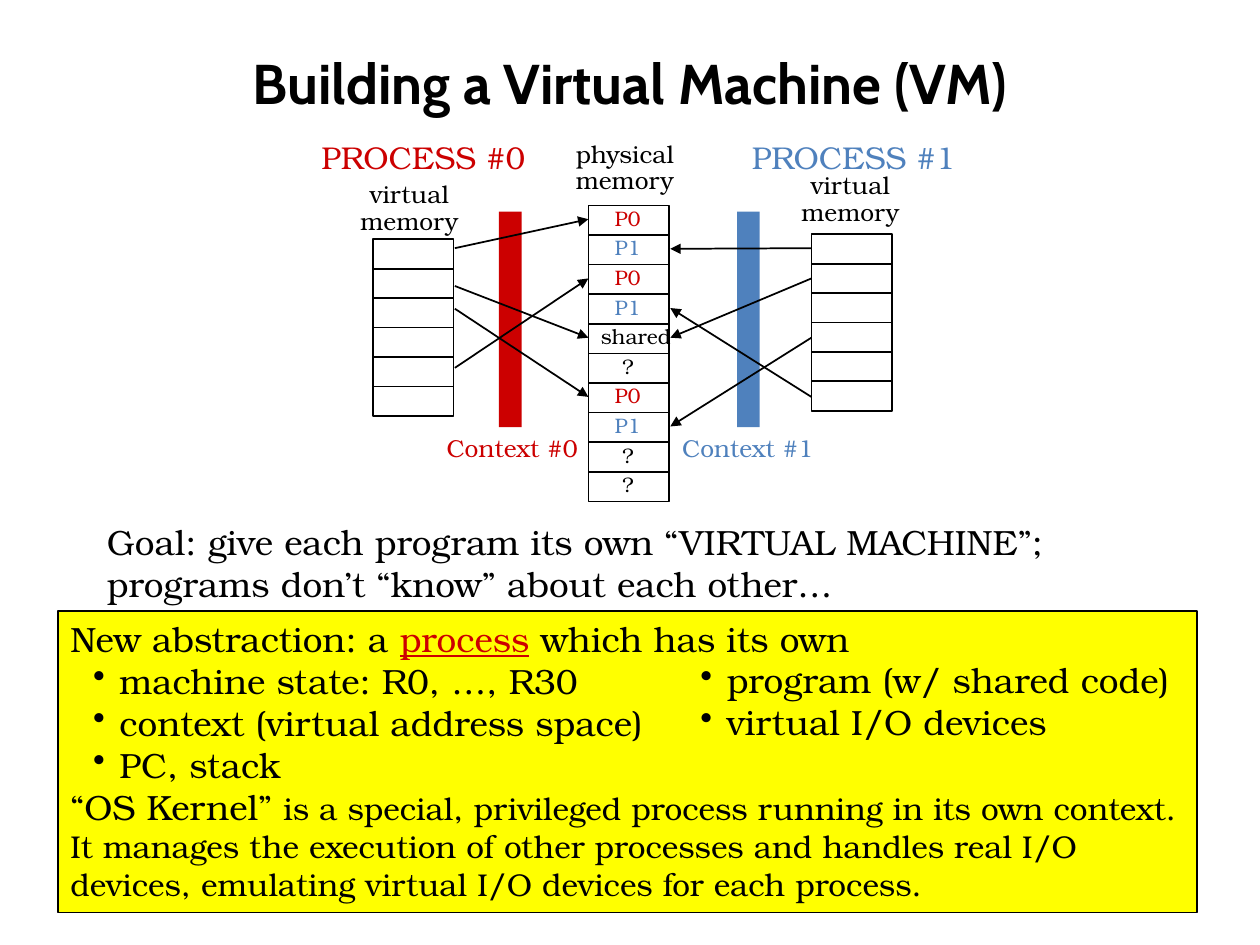
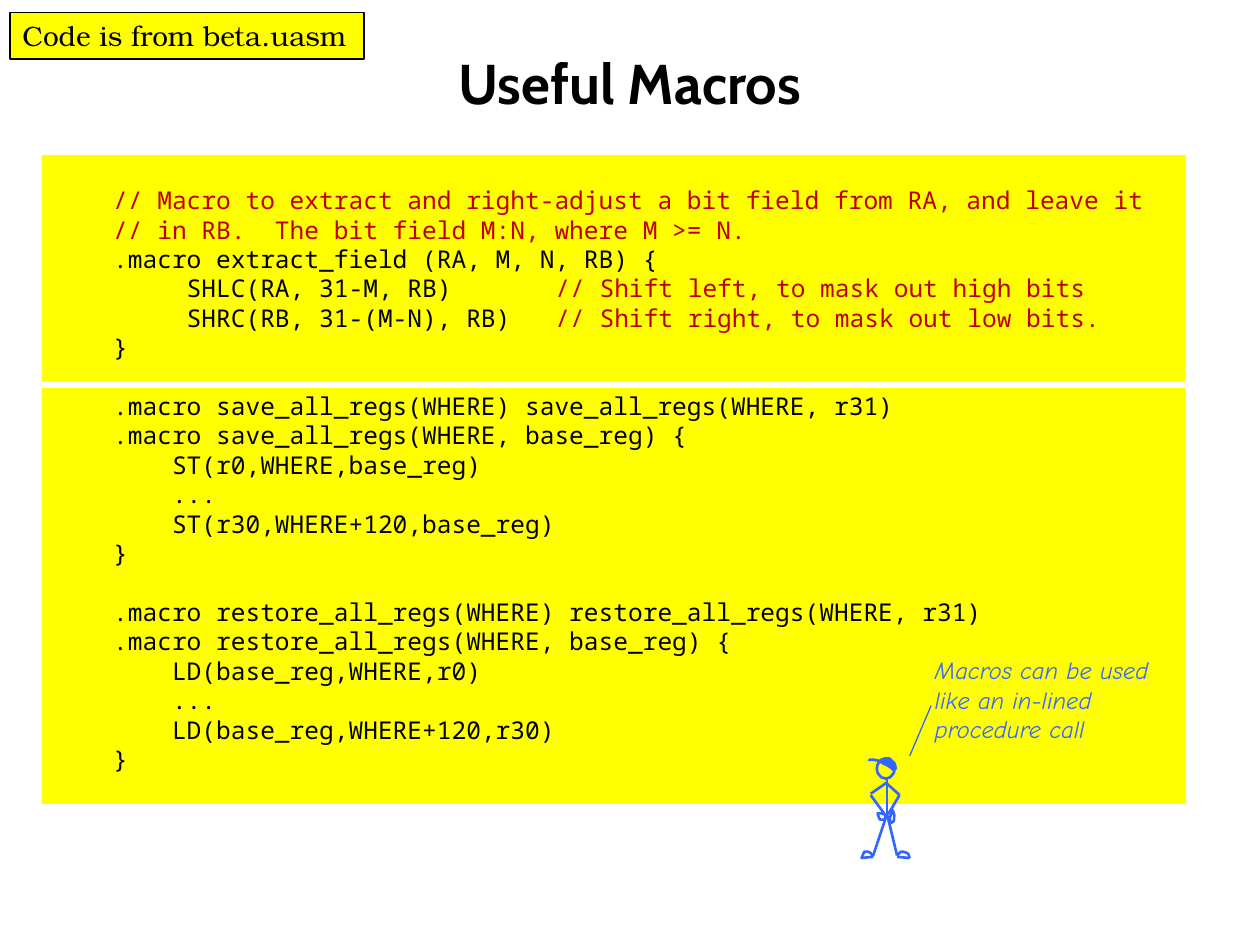
"""Builds two slides on virtual machines and register macros."""
from dataclasses import dataclass
from typing import NamedTuple

from pptx import Presentation
from pptx.dml.color import RGBColor as RGB
from pptx.enum.shapes import MSO_CONNECTOR as LINK, MSO_SHAPE as SHAPE
from pptx.enum.text import MSO_ANCHOR as ANCHOR, PP_ALIGN as ALIGN
from pptx.oxml.ns import qn
from pptx.util import Inches, Pt

HUES = {"black": "000000", "white": "FFFFFF", "red": "CC0000", "blue": "4F81BD",
        "yellow": "FFFF00", "note": "C00000", "pen": "3366FF"}
SERIF, MONO = "TeX Gyre Bonum", "Noto Sans Mono"
ROW = 0.235


class Box(NamedTuple):
    left: float
    top: float
    width: float
    height: float


class Bit(NamedTuple):
    text: str
    size: float = 20
    hue: str = "black"
    under: bool = False


@dataclass
class Style:
    font: str = SERIF
    align: ALIGN = ALIGN.LEFT
    space: float = 1.0
    wrap: bool = True
    bold: bool = False
    slant: bool = False
    anchor: ALIGN = ANCHOR.TOP


@dataclass
class Side:
    name: str
    hue: str
    head: Box
    label: Box
    stack: Box
    band: float
    context: float
    start: float
    end: float
    maps: list


PLAIN = Style()
LOOSE = Style(wrap=False)
LABEL = Style(align=ALIGN.CENTER, space=0.9, wrap=False)
HEAD = Style(align=ALIGN.CENTER, space=0.9)
MID = Style(align=ALIGN.CENTER, wrap=False)
TITLE = Style(font="Cabin", align=ALIGN.CENTER, bold=True, anchor=ANCHOR.MIDDLE)
CODE = Style(font=MONO, wrap=False)
SPEECH = Style(font="Comic Neue", slant=True)

SIDES = [
    Side("#0", "red", Box(2.42, 1.08, 1.88, 0.38), Box(2.75, 1.4, 1, 0.53),
         Box(2.96, 1.9, 0.64, 1.4), 3.96, 3.44, 3.61, 4.67,
         [(1.97, 0), (2.27, 4), (2.45, 6), (2.92, 2)]),
    Side("#1", "blue", Box(5.72, 1.08, 2.11, 0.38), Box(6.25, 1.33, 1, 0.53),
         Box(6.44, 1.86, 0.64, 1.4), 5.85, 5.31, 6.44, 5.32,
         [(1.97, 1), (2.21, 4), (2.68, 7), (3.15, 3)]),
]
PAGES = ["P0", "P1", "P0", "P1", "shared", "?", "P0", "P1", "?", "?"]
SPOTS = {"P": (4.78, 0.42), "s": (4.67, 0.78), "?": (4.84, 0.29)}

MACROS = [
    """// Macro to extract and right-adjust a bit field from RA, and leave it
// in RB.  The bit field M:N, where M >= N.
.macro extract_field (RA, M, N, RB) {
     SHLC(RA, 31-M, RB)       // Shift left, to mask out high bits
     SHRC(RB, 31-(M-N), RB)   // Shift right, to mask out low bits.
}""",
    """.macro save_all_regs(WHERE) save_all_regs(WHERE, r31)
.macro save_all_regs(WHERE, base_reg) {
    ST(r0,WHERE,base_reg)
    ...
    ST(r30,WHERE+120,base_reg)
}""",
    """.macro restore_all_regs(WHERE) restore_all_regs(WHERE, r31)
.macro restore_all_regs(WHERE, base_reg) {
    LD(base_reg,WHERE,r0)
    ...
    LD(base_reg,WHERE+120,r30)
}""",
]

LIMBS = [
    (7.04, 6.18, 7.04, 6.46), (7.04, 6.46, 6.93, 6.79), (7.04, 6.46, 7.12, 6.79),
    (6.93, 6.8, 6.83, 6.81), (7.12, 6.8, 7.22, 6.81), (7.04, 6.21, 6.91, 6.3),
    (6.91, 6.31, 7.02, 6.46), (7.04, 6.22, 7.14, 6.31), (7.14, 6.31, 7.05, 6.46),
]
FEET = [
    [(6.84, 6.81), (6.85, 6.78), (6.86, 6.76), (6.89, 6.76), (6.91, 6.77), (6.93, 6.8)],
    [(7.22, 6.81), (7.21, 6.78), (7.2, 6.77), (7.17, 6.76), (7.15, 6.76), (7.12, 6.79)],
]
HANDS = [
    ([(7.02, 6.45), (6.99, 6.46), (6.97, 6.47), (6.97, 6.5), (6.98, 6.51),
      (7.01, 6.51), (7.02, 6.48)], 270),
    ([(7.04, 6.45), (7.08, 6.46), (7.11, 6.48), (7.12, 6.49), (7.12, 6.51),
      (7.09, 6.51), (7.07, 6.49)], 59.3),
]
BRIM = [(7.1, 6.12), (7.06, 6.08), (7.01, 6.06), (6.98, 6.04), (6.94, 6.03),
        (6.9, 6.03), (6.9, 6.04)]
CAP = [(7.11, 6.1), (7.1, 6.06), (7.08, 6.04), (7.06, 6.02), (7.02, 6.02),
       (7, 6.03), (6.99, 6.04), (7.04, 6.07), (7.08, 6.1)]


def tint(hue: str) -> RGB:
    return RGB.from_string(HUES[hue])


def paint(shape, fill: str = "", line: str = "", width: float = 1) -> None:
    shape.shadow.inherit = False
    if fill:
        shape.fill.solid()
        shape.fill.fore_color.rgb = tint(fill)
    else:
        shape.fill.background()
    if line:
        shape.line.color.rgb = tint(line)
        shape.line.width = Pt(width)
    else:
        shape.line.fill.background()


def block(slide, box: Box, fill: str = "", line: str = "", width: float = 1,
          kind: SHAPE = SHAPE.RECTANGLE):
    shape = slide.shapes.add_shape(kind, *map(Inches, box))
    paint(shape, fill, line, width)
    return shape


def write(shape, paras: list, style: Style = PLAIN) -> list:
    frame = shape.text_frame
    frame.word_wrap = style.wrap
    frame.vertical_anchor = style.anchor
    frame.text = "\n".join(bits[0].text for bits in paras)
    for para, bits in zip(frame.paragraphs, paras):
        para.alignment = style.align
        para.line_spacing = style.space
        for bit in bits[1:]:
            para.add_run().text = bit.text
        for run, bit in zip(para.runs, bits):
            font = run.font
            font.name, font.size = style.font, Pt(bit.size)
            font.bold, font.italic = style.bold, style.slant
            font.underline = bit.under
            font.color.rgb = tint(bit.hue)
    return list(frame.paragraphs)


def label(slide, box: Box, text: str, size: float, hue: str = "black",
          style: Style = PLAIN) -> None:
    shape = slide.shapes.add_textbox(*map(Inches, box))
    write(shape, [[Bit(line, size, hue)] for line in text.split("\n")], style)


def bullet(para, left: float) -> None:
    props = para._p.get_or_add_pPr()
    props.set("marL", str(Inches(left)))
    props.set("indent", str(Inches(-0.21)))
    props.append(props.makeelement(qn("a:buChar"), {"char": "•"}))


def rule(slide, ends: tuple, hue: str = "black", width: float = 1,
         arrow: bool = False) -> None:
    line = slide.shapes.add_connector(LINK.STRAIGHT, *map(Inches, ends))
    line.line.color.rgb = tint(hue)
    line.line.width = Pt(width)
    props = line._element.spPr
    if arrow:
        edge = line.line._get_or_add_ln()
        edge.append(edge.makeelement(qn("a:tailEnd"), {"type": "triangle"}))
    props.append(props.makeelement(qn("a:effectLst"), {}))


def stroke(slide, dots: list, closed: bool = False, fill: str = "", turn: float = 0) -> None:
    first, *rest = [(Inches(x), Inches(y)) for x, y in dots]
    build = slide.shapes.build_freeform(*first)
    build.add_line_segments(rest, close=closed)
    shape = build.convert_to_shape()
    paint(shape, fill, "pen", 1.5)
    shape.rotation = turn


def stack(slide, box: Box, count: int) -> None:
    block(slide, box, "white", "black")
    for i in range(1, count):
        y = box.top + box.height * i / count
        rule(slide, (box.left, y, box.left + box.width, y))


def start(deck, title: str):
    slide = deck.slides.add_slide(deck.slide_layouts[6])
    label(slide, Box(0.5, 0.3, 9, 0.7), title, 32, style=TITLE)
    return slide


def draw_side(slide, side: Side) -> None:
    block(slide, Box(side.band, 1.68, 0.18, 1.71), side.hue)
    label(slide, side.head, f"PROCESS {side.name}", 18, side.hue, HEAD)
    label(slide, side.label, "virtual\nmemory", 14, style=LABEL)
    label(slide, Box(side.context, 3.39, 1.25, 0.34), f"Context {side.name}",
          14, side.hue, MID)
    stack(slide, side.stack, 6)
    for y, row in side.maps:
        rule(slide, (side.start, y, side.end, 1.74 + ROW * row), arrow=True)


def draw_machine(deck) -> None:
    slide = start(deck, "Building a Virtual Machine (VM)")
    stack(slide, Box(4.67, 1.63, 0.64, 2.35), len(PAGES))
    label(slide, Box(4.46, 1.08, 1, 0.53), "physical\nmemory", 14, style=LABEL)
    for side in SIDES:
        draw_side(slide, side)
    shades = {"P0": "red", "P1": "blue"}
    for i, page in enumerate(PAGES):
        left, width = SPOTS[page[0]]
        label(slide, Box(left, 1.58 + ROW * i, width, 0.3), page, 12,
              shades.get(page, "black"), LOOSE)
    label(slide, Box(0.75, 4.08, 8.42, 0.77),
          "Goal: give each program its own “VIRTUAL MACHINE”; "
          "programs don’t “know” about each other…", 20)
    panel = block(slide, Box(0.46, 4.85, 9.04, 2.39), "yellow", "black", 0.75)
    paras = write(panel, [
        [Bit("New abstraction: a "), Bit("process", hue="red", under=True),
         Bit(" which has its own")],
        [Bit("machine state: R0, …, R30")],
        [Bit("context (virtual address space)")],
        [Bit("PC, stack")],
        [Bit("“OS Kernel” "),
         Bit("is a special, privileged process running in its own context. It manages "
             "the execution of other processes and handles real I/O devices, "
             "emulating virtual I/O devices for each process.", 18)]])
    for para in paras[1:4]:
        bullet(para, 0.39)
    column = slide.shapes.add_textbox(*map(Inches, Box(5.46, 5.18, 4.02, 0.77)))
    for para in write(column, [[Bit("program (w/ shared code)")],
                               [Bit("virtual I/O devices")]]):
        bullet(para, 0.21)


def split(line: str) -> list:
    code, mark, note = line.partition("//")
    bits = [Bit(code, 14)] if code else []
    return bits + ([Bit(mark + note, 14, "note")] if mark else [])


def draw_figure(slide) -> None:
    label(slide, Box(7.32, 5.15, 2, 0.81),
          "Macros can be used like an in-lined procedure call", 14, "pen", SPEECH)
    rule(slide, (7.22, 6, 7.39, 5.6), "pen", 0.75)
    for limb in LIMBS:
        rule(slide, limb, "pen", 1.5)
    for foot in FEET:
        stroke(slide, foot)
    for hand, turn in HANDS:
        stroke(slide, hand, True, turn=turn)
    block(slide, Box(6.96, 6.02, 0.14, 0.16), "", "pen", 1.5, SHAPE.OVAL)
    stroke(slide, BRIM)
    stroke(slide, CAP, True, "pen")


def draw_macros(deck) -> None:
    slide = start(deck, "Useful Macros")
    for top, height in ((3.08, 3.3), (1.23, 1.8)):
        block(slide, Box(0.33, top, 9.08, height), "yellow")
    code = slide.shapes.add_textbox(*map(Inches, Box(0.8, 1.42, 8.42, 4.81)))
    lines = [line for macro in MACROS for line in macro.split("\n")]
    paras = write(code, [split(line) for line in lines], CODE)
    for i in (6, 12):
        paras[i].space_before = Pt(16.8)
    tag = block(slide, Box(0.08, 0.1, 2.81, 0.37), "yellow", "black", 0.75)
    write(tag, [[Bit("Code is from beta.uasm", 16)]], LOOSE)
    draw_figure(slide)


def main() -> None:
    deck = Presentation()
    deck.slide_width, deck.slide_height = Inches(10), Inches(7.5)
    draw_machine(deck)
    draw_macros(deck)
    deck.save("out.pptx")


if __name__ == "__main__":
    main()
